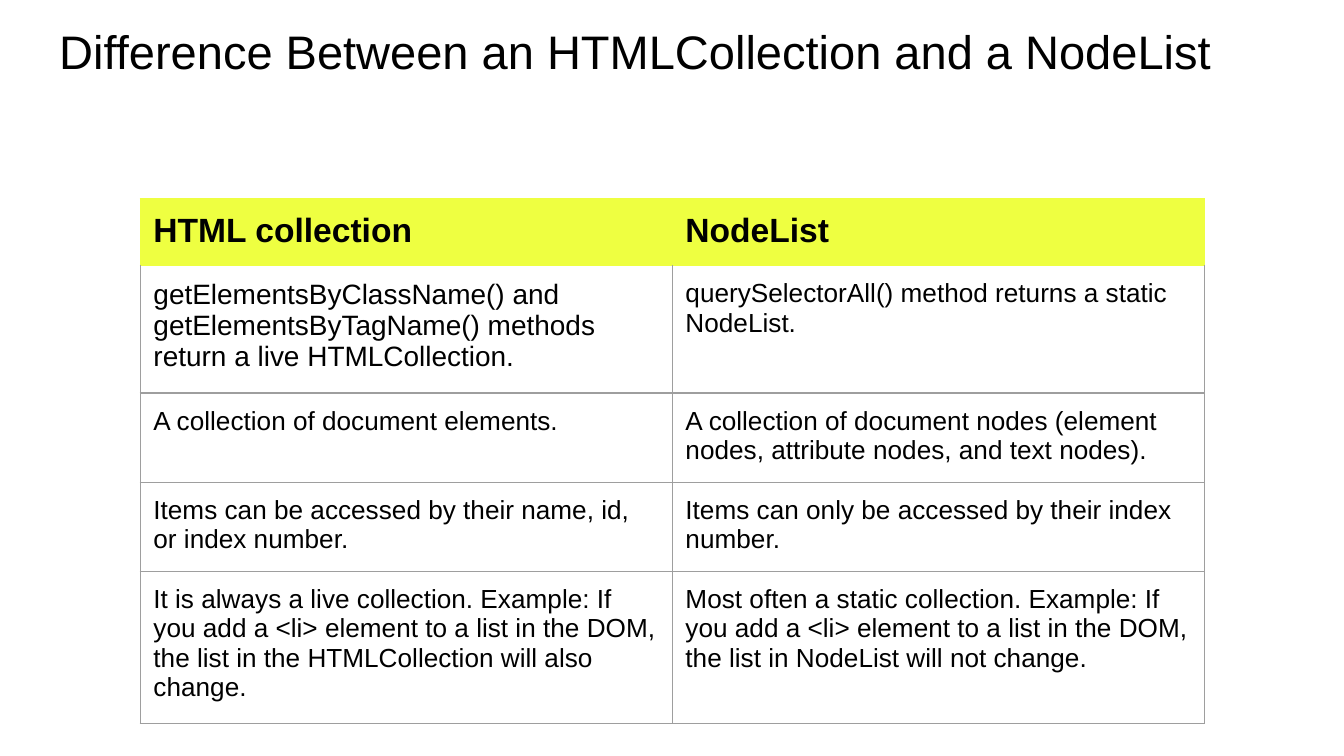
from lxml.etree import SubElement
from pptx import Presentation
from pptx.dml.color import RGBColor
from pptx.enum.text import MSO_ANCHOR
from pptx.oxml.ns import qn
from pptx.util import Cm, Pt

BLACK = RGBColor(0x00, 0x00, 0x00)
LIME = RGBColor(0xEE, 0xFF, 0x41)
GRAY = RGBColor(0x9E, 0x9E, 0x9E)

PAD = Cm(0.25)
FRAME = {"margin_left": PAD, "margin_right": PAD, "margin_top": PAD,
         "margin_bottom": PAD, "vertical_anchor": MSO_ANCHOR.TOP}
PLAIN = {"name": "Arial", "bold": False}
FLAGS = {"first_row": False, "horz_banding": False}

ROWS = [
    ("HTML collection", "NodeList"),
    ("getElementsByClassName() and getElementsByTagName() methods "
     "return a live HTMLCollection.",
     "querySelectorAll() method returns a static NodeList."),
    ("A collection of document elements.",
     "A collection of document nodes (element nodes, attribute nodes, "
     "and text nodes)."),
    ("Items can be accessed by their name, id, or index number.",
     "Items can only be accessed by their index number."),
    ("It is always a live collection. Example: If you add a <li> element "
     "to a list in the DOM, the list in the HTMLCollection will also change.",
     "Most often a static collection. Example: If you add a <li> element "
     "to a list in the DOM, the list in NodeList will not change."),
]


def apply(item, form):
    for key, value in form.items():
        setattr(item, key, value)


def write(frame, text, **form):
    para = frame.paragraphs[0]
    run = para.add_run()
    run.text = text
    apply(run.font, {**PLAIN, **form})
    run.font.color.rgb = BLACK


def border(cell, hues):
    props = cell._tc.get_or_add_tcPr()
    for spot, (side, hue) in enumerate(hues.items()):
        line = SubElement(props, qn("a:ln" + side), w=str(Pt(0.75)))
        fill = SubElement(line, qn("a:solidFill"))
        SubElement(fill, qn("a:srgbClr"), val=str(hue))
        props.insert(spot, line)


def add_title(slide, box, text):
    frame = slide.shapes.add_textbox(*box).text_frame
    apply(frame, {**FRAME, "word_wrap": True})
    write(frame, text, size=Pt(25.2))


def add_grid(slide, box, rows):
    table = slide.shapes.add_table(len(rows), len(rows[0]), *box).table
    apply(table, FLAGS)
    for i, row in enumerate(rows):
        head = i == 0
        edge = LIME if head else GRAY
        top = LIME if i < 2 else GRAY
        for j, text in enumerate(row):
            cell = table.cell(i, j)
            apply(cell, FRAME)
            if head:
                cell.fill.solid()
                cell.fill.fore_color.rgb = LIME
            else:
                cell.fill.background()
            border(cell, {"L": edge, "R": edge, "T": top, "B": edge})
            size = 18 if head else 15 if (i, j) == (1, 0) else 14
            write(cell.text_frame, text, size=Pt(size), bold=head)


def main():
    deck = Presentation()
    apply(deck, {"slide_width": Cm(25.4), "slide_height": Cm(14.29)})
    slide = deck.slides.add_slide(deck.slide_layouts[6])
    add_title(slide, (Cm(0.87), Cm(0.18), Cm(23.67), Cm(1.6)),
              "Difference Between an HTMLCollection and a NodeList")
    add_grid(slide, (Cm(2.65), Cm(3.76), Cm(20.11), Cm(5.35)), ROWS)
    deck.save("out.pptx")


if __name__ == "__main__":
    main()
